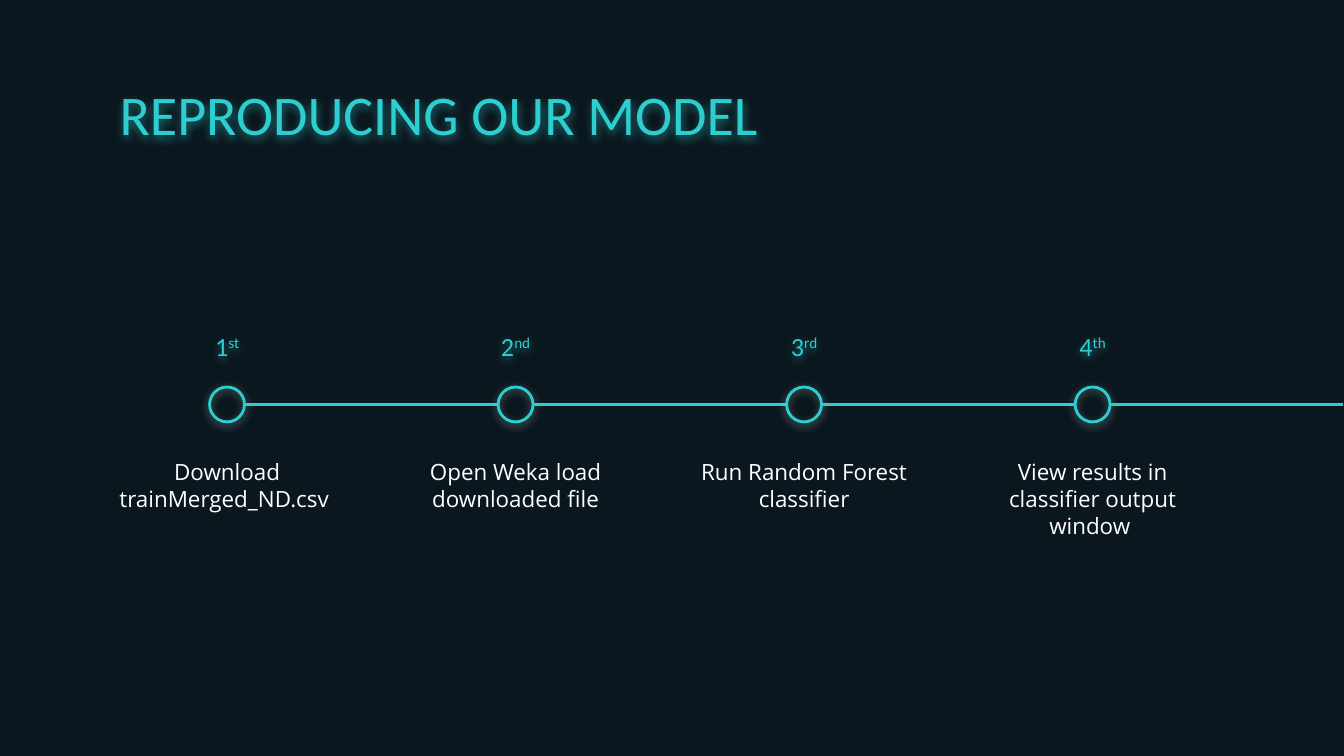
from lxml.etree import SubElement
from pptx import Presentation
from pptx.dml.color import RGBColor
from pptx.enum.shapes import MSO_CONNECTOR as Wire, MSO_SHAPE as Form
from pptx.enum.text import MSO_ANCHOR as Anchor, MSO_AUTO_SIZE as Fit, PP_ALIGN as Align
from pptx.oxml.ns import qn
from pptx.util import Inches, Pt

TITLE = "REPRODUCING OUR MODEL"
STEPS = [
    ("1", "st", "Download trainMerged_ND.csv "),
    ("2", "nd", "Open Weka load downloaded file"),
    ("3", "rd", "Run Random Forest classifier"),
    ("4", "th", "View results in classifier output window "),
]

DARK = RGBColor(0x0B, 0x17, 0x1E)
TEAL = RGBColor(0x2D, 0xCE, 0xCF)
PALE = RGBColor(0xB8, 0xDD, 0xDD)
WHITE = RGBColor(0xFF, 0xFF, 0xFF)

HEAD, BODY = "Calibri", "Open Sans"
FIRST, LAST, EDGE = 1.69, 8.13, 9.99
AXIS, RING = 3.01, 0.26
STEP = (LAST - FIRST) / (len(STEPS) - 1)


def add_glow(shape, color):
    effect = SubElement(shape._element.spPr, qn("a:effectLst"))
    shade = SubElement(effect, qn("a:outerShdw"), blurRad=str(Pt(4.5)),
                       dist=str(Pt(1.5)), dir="5400000", algn="bl", rotWithShape="0")
    tint = SubElement(shade, qn("a:srgbClr"), val=str(color))
    SubElement(tint, qn("a:alpha"), val="50000")


def set_frame(shape, anchor, align):
    frame = shape.text_frame
    frame.word_wrap = True
    frame.auto_size = Fit.NONE
    frame.vertical_anchor = anchor
    frame.margin_left = frame.margin_right = Inches(0.1)
    frame.margin_top = frame.margin_bottom = Inches(0.1)
    para = frame.paragraphs[0]
    para.alignment = align
    return para


def add_run(para, text, font, size, color):
    run = para.add_run()
    run.text = text
    run.font.name = font
    run.font.size = Pt(size)
    run.font.color.rgb = color
    return run


def add_box(slide, mid, top, width, anchor):
    box = slide.shapes.add_textbox(
        Inches(mid - width / 2), Inches(top), Inches(width), Inches(0.4))
    return box, set_frame(box, anchor, Align.CENTER)


def add_step(slide, mid, end, number, suffix, note):
    box, para = add_box(slide, mid, 3.31, 1.98, Anchor.TOP)
    add_run(para, note, BODY, 12, WHITE)

    ring = slide.shapes.add_shape(
        Form.OVAL, Inches(mid - RING / 2), Inches(AXIS - RING / 2),
        Inches(RING), Inches(RING))
    ring.fill.background()
    ring.line.color.rgb = TEAL
    ring.line.width = Pt(1.5)
    add_glow(ring, PALE)

    wire = slide.shapes.add_connector(
        Wire.STRAIGHT, Inches(mid + RING / 2), Inches(AXIS), Inches(end), Inches(AXIS))
    wire.line.color.rgb = TEAL
    wire.line.width = Pt(1.5)
    SubElement(wire._element.spPr, qn("a:effectLst"))

    box, para = add_box(slide, mid, 2.39, 1, Anchor.BOTTOM)
    add_run(para, number, HEAD, 14, TEAL)
    small = add_run(para, suffix, HEAD, 14, TEAL)
    small._r.get_or_add_rPr().set("baseline", "30000")
    add_glow(box, TEAL)


def main():
    deck = Presentation()
    deck.slide_width = Inches(10)
    deck.slide_height = deck.slide_width * 9 // 16
    slide = deck.slides.add_slide(deck.slide_layouts[5])
    slide.background.fill.solid()
    slide.background.fill.fore_color.rgb = DARK

    title = slide.shapes.title
    title.left, title.top = Inches(0.79), Inches(0.49)
    title.width, title.height = Inches(8.43), Inches(0.63)
    para = set_frame(title, Anchor.TOP, Align.LEFT)
    add_run(para, TITLE, HEAD, 30, TEAL)
    add_glow(title, TEAL)

    mids = [FIRST + i * STEP for i in range(len(STEPS))]
    ends = [mid - RING / 2 for mid in mids[1:]] + [EDGE]
    for mid, end, step in zip(mids, ends, STEPS):
        add_step(slide, mid, end, *step)
    deck.save("out.pptx")


if __name__ == "__main__":
    main()
